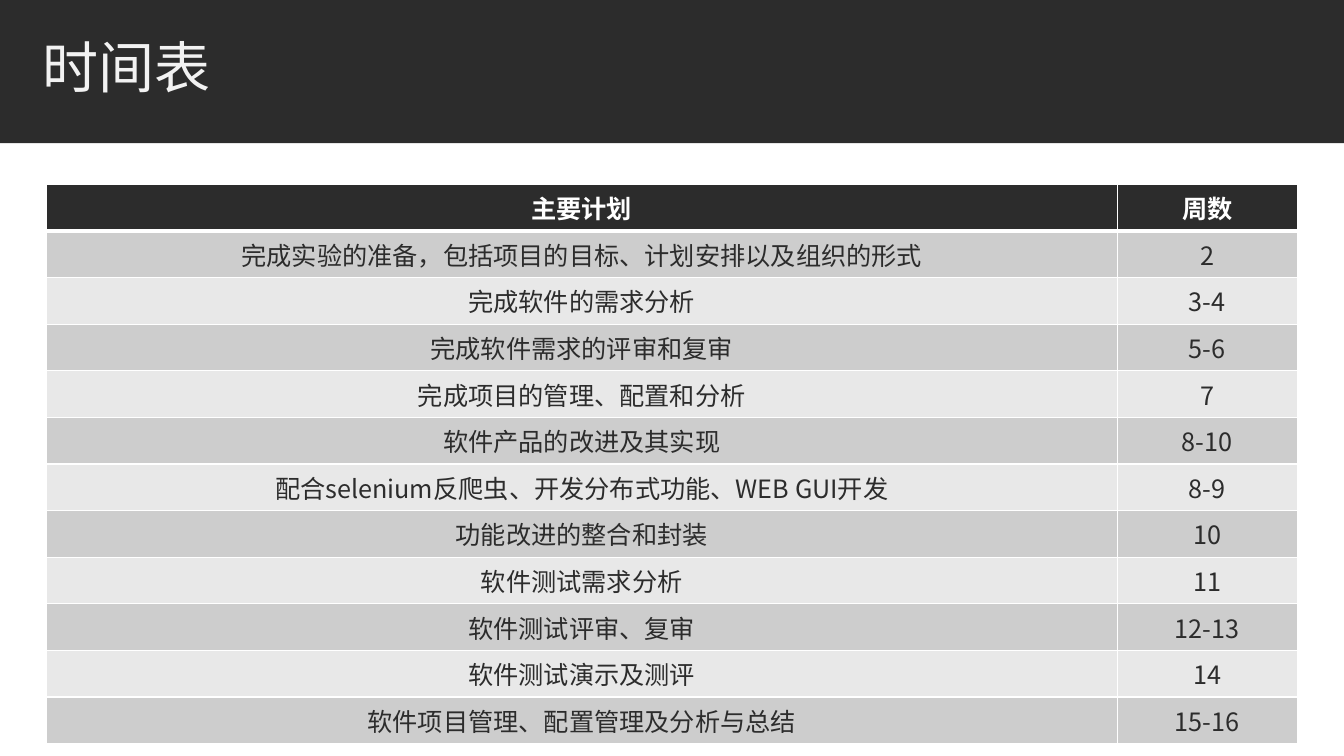
"""Build a timetable slide with a title band and a two-column plan table."""
from lxml import etree
from pptx import Presentation
from pptx import util as u
from pptx.dml.color import RGBColor
from pptx.enum import shapes, text
from pptx.oxml import ns

FONT = "Noto Sans CJK SC"
COLORS = {"dark": "2C2C2C", "title": "F2F2F2", "white": "FFFFFF",
          "odd": "CDCDCD", "even": "E8E8E8"}
PLAN = [
    ("主要计划", "周数"),
    ("完成实验的准备，包括项目的目标、计划安排以及组织的形式", "2"),
    ("完成软件的需求分析", "3-4"),
    ("完成软件需求的评审和复审", "5-6"),
    ("完成项目的管理、配置和分析", "7"),
    ("软件产品的改进及其实现", "8-10"),
    ("配合selenium反爬虫、开发分布式功能、WEB GUI开发", "8-9"),
    ("功能改进的整合和封装", "10"),
    ("软件测试需求分析", "11"),
    ("软件测试评审、复审", "12-13"),
    ("软件测试演示及测评", "14"),
    ("软件项目管理、配置管理及分析与总结", "15-16"),
]


def rgb(name):
    return RGBColor.from_string(COLORS[name])


def style_text(p, size, color, bold=False):
    for r in p.runs:
        r.font.size = u.Pt(size)
        r.font.bold = bold
        r.font.color.rgb = rgb(color)
        r.font.name = FONT
        ea = etree.SubElement(r.font._element, ns.qn("a:ea"))
        ea.set("typeface", FONT)


def set_borders(cell, widths):
    tc_pr = cell._tc.get_or_add_tcPr()
    for side, width in widths.items():
        ln = etree.SubElement(tc_pr, ns.qn(f"a:ln{side}"), w=str(u.Pt(width)))
        fill = etree.SubElement(ln, ns.qn("a:solidFill"))
        etree.SubElement(fill, ns.qn("a:srgbClr"), val=COLORS["white"])


def add_title_band(s, x, y, w, h, title):
    band = s.shapes.add_shape(shapes.MSO_SHAPE.RECTANGLE, u.Inches(x), u.Inches(y),
                              u.Inches(w), u.Inches(h))
    band.shadow.inherit = False
    band.fill.solid()
    band.fill.fore_color.rgb = rgb("dark")
    band.line.fill.background()
    box = s.shapes.add_textbox(u.Inches(x + 0.32), u.Inches(y + 0.26),
                               u.Inches(10.7), u.Inches(0.9))
    tf = box.text_frame
    tf.word_wrap = True
    tf.vertical_anchor = text.MSO_ANCHOR.MIDDLE
    tf.text = title
    p = tf.paragraphs[0]
    p.line_spacing = 0.85
    style_text(p, 40, "title")


def add_plan_table(s, x, y, w, h, rows, week_width):
    table = s.shapes.add_table(len(rows), 2, u.Inches(x), u.Inches(y),
                               u.Inches(w), u.Inches(h)).table
    table.columns[0].width = u.Inches(w - week_width)
    table.columns[1].width = u.Inches(week_width)
    for i, values in enumerate(rows):
        header = i == 0
        table.rows[i].height = u.Inches(h / len(rows))
        fill = "dark" if header else "odd" if i % 2 else "even"
        for j, value in enumerate(values):
            cell = table.cell(i, j)
            set_borders(cell, {"L": 1, "R": 1, "T": 3 if i == 1 else 1,
                               "B": 3 if header else 1})
            cell.fill.solid()
            cell.fill.fore_color.rgb = rgb(fill)
            p = cell.text_frame.paragraphs[0]
            p.text = value
            p.alignment = text.PP_ALIGN.CENTER
            style_text(p, 18, "white" if header else "dark", header)


def main():
    prs = Presentation()
    prs.slide_width, prs.slide_height = u.Inches(13.33), u.Inches(7.5)
    s = prs.slides.add_slide(prs.slide_layouts[6])
    add_title_band(s, 0, 0, 13.33, 1.42, "时间表")
    add_plan_table(s, 0.46, 1.83, 12.41, 5.55, PLAN, 1.79)
    prs.save("out.pptx")


main()
